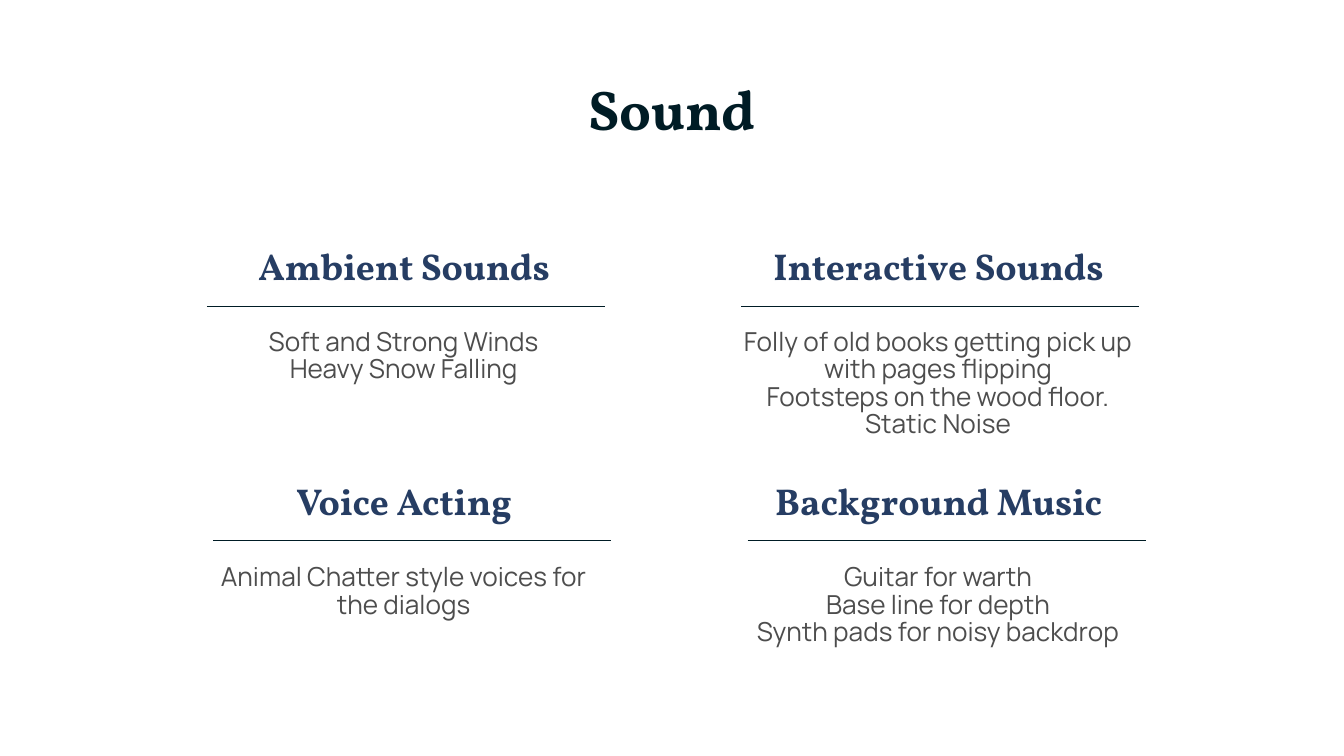
from lxml.etree import SubElement
from pptx import Presentation
from pptx.dml.color import RGBColor
from pptx.enum.shapes import MSO_CONNECTOR
from pptx.enum.text import MSO_ANCHOR, MSO_AUTO_SIZE, PP_ALIGN
from pptx.oxml.ns import qn
from pptx.util import Cm, Pt


def color(code):
    return RGBColor.from_string(code)


def write(box, place, text, font, size, ink, bold, anchor, gap):
    box.left, box.top, box.width, box.height = [Cm(n) for n in place]
    frame = box.text_frame
    frame.text = text
    frame.word_wrap = True
    frame.auto_size = MSO_AUTO_SIZE.NONE
    frame.vertical_anchor = anchor
    frame.margin_left = frame.margin_right = Cm(0.25)
    frame.margin_top = frame.margin_bottom = Cm(0.25)
    for line in frame.paragraphs:
        props = line._p.get_or_add_pPr()
        props.set("marL", "0")
        props.set("indent", "0")
        SubElement(props, qn("a:buNone"))
        line.alignment = PP_ALIGN.CENTER
        line.line_spacing = gap
        line.space_before = line.space_after = Pt(0)
        for run in line.runs:
            run.font.name = font
            run.font.size = Pt(size)
            run.font.bold = bold
            run.font.color.rgb = color(ink)


deck = Presentation()
deck.slide_width, deck.slide_height = Cm(25.4), Cm(14.29)
slide = deck.slides.add_slide(deck.slide_layouts[4])
slide.background.fill.solid()
slide.background.fill.fore_color.rgb = color("FFFFFF")

write(slide.shapes.title, (2, 1.24, 21.4, 1.6), "Sound",
      "Vollkorn", 30, "001C25", True, MSO_ANCHOR.MIDDLE, 1)

topics = [
    ("Ambient Sounds", "Soft and Strong Winds\nHeavy Snow Falling"),
    ("Interactive Sounds",
     "Folly of old books getting pick up with pages flipping\n"
     "Footsteps on the wood floor.\nStatic Noise"),
    ("Voice Acting", "Animal Chatter style voices for the dialogs"),
    ("Background Music",
     "Guitar for warth\nBase line for depth\nSynth pads for noisy backdrop"),
]

for spot, (head, body) in enumerate(topics):
    row, col = divmod(spot, 2)
    left = 2.64 + 10.1 * col
    top = 4.34 + 4.45 * row

    title = slide.shapes.add_textbox(0, 0, 0, 0)
    write(title, (left, top, 10, 1.47), head,
          "Vollkorn", 20, "263D63", True, MSO_ANCHOR.TOP, 1)
    write(slide.placeholders[spot + 1], (left + 1, top + 1.63, 7.98, 1.35), body,
          "Manrope", 14, "4D4D4D", False, MSO_ANCHOR.TOP, 0.88)

    start = left + 1.27 + 0.12 * row
    level = top + 1.45 - 0.02 * row
    rule = slide.shapes.add_connector(
        MSO_CONNECTOR.STRAIGHT, Cm(start), Cm(level), Cm(start + 7.52), Cm(level))
    rule.line.color.rgb = color("001C25")
    rule.line.width = Pt(0.75)
    SubElement(rule._element.spPr, qn("a:effectLst"))

deck.save("out.pptx")
